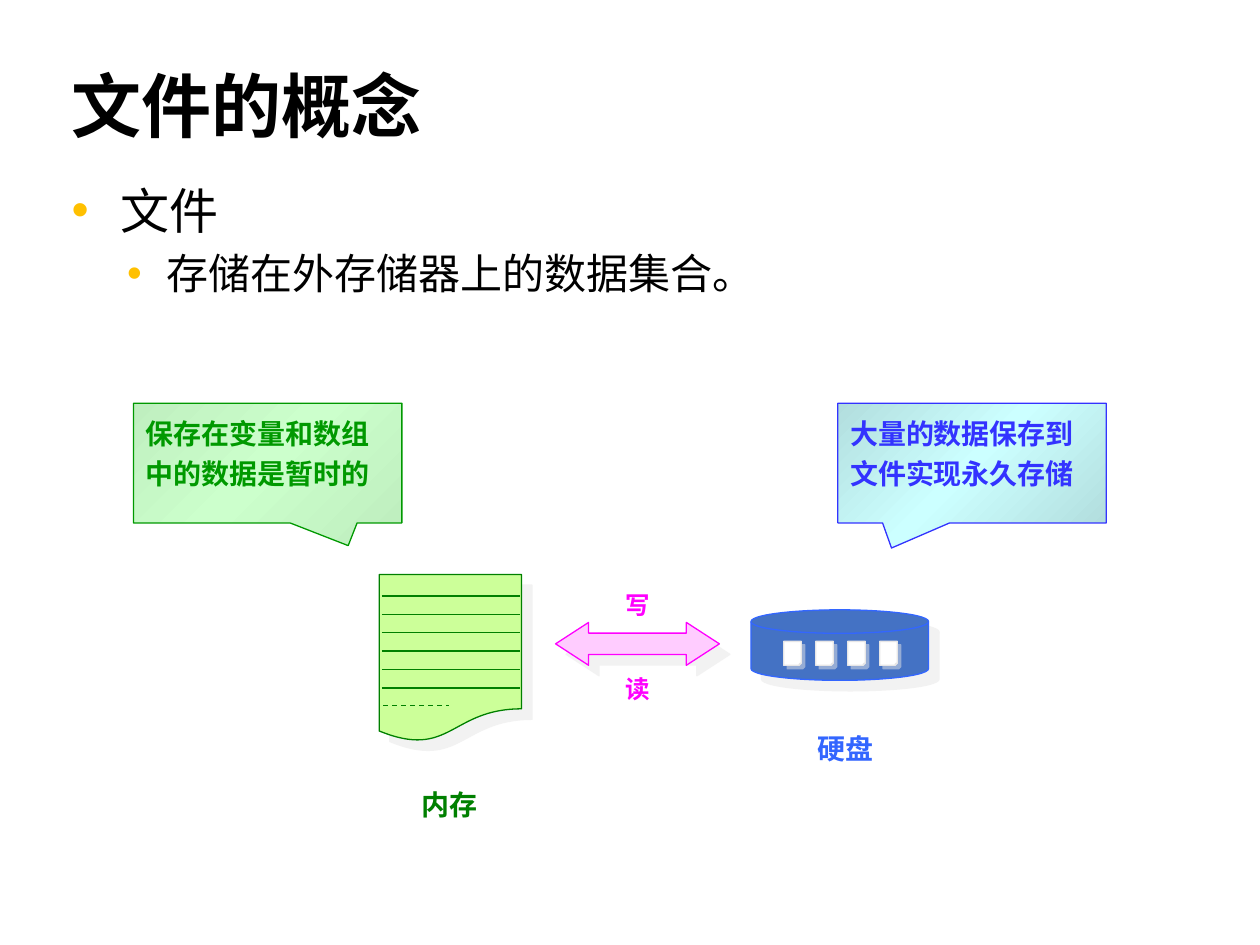
import copy

import pptx
import pptx.dml.color
import pptx.enum.dml
import pptx.enum.lang
import pptx.enum.shapes
import pptx.enum.text
import pptx.oxml
import pptx.oxml.ns
import pptx.util

Inches = pptx.util.Inches
Pt = pptx.util.Pt
RGBColor = pptx.dml.color.RGBColor
SHAPE = pptx.enum.shapes.MSO_SHAPE
ALIGN = pptx.enum.text.PP_ALIGN
ANCHOR = pptx.enum.text.MSO_ANCHOR
qn = pptx.oxml.ns.qn

BLACK = RGBColor(0x00, 0x00, 0x00)
WHITE = RGBColor(0xFF, 0xFF, 0xFF)
GRAY = RGBColor(0xE7, 0xE6, 0xE6)
GOLD = RGBColor(0xFF, 0xC0, 0x00)
GREEN = RGBColor(0x00, 0x80, 0x00)
LIME = RGBColor(0xCC, 0xFF, 0x99)
BLUE = RGBColor(0x33, 0x66, 0xFF)
DISK_BLUE = RGBColor(0x44, 0x72, 0xC4)
MAGENTA = RGBColor(0xFF, 0x00, 0xFF)
PINK = RGBColor(0xFF, 0xCC, 0xFF)
NOTE_GREEN = RGBColor(0x00, 0x99, 0x00)
GREEN_EDGE = RGBColor(0xBF, 0xEF, 0xBF)
GREEN_MID = RGBColor(0xCC, 0xFF, 0xCC)
NOTE_BLUE = RGBColor(0x33, 0x33, 0xFF)
CYAN_EDGE = RGBColor(0xB2, 0xDE, 0xDE)
CYAN_MID = RGBColor(0xCC, 0xFF, 0xFF)


def add_xml(parent, xml):
    ns = 'xmlns:a="http://schemas.openxmlformats.org/drawingml/2006/main"'
    parent.append(pptx.oxml.parse_xml(xml.replace(" ", f" {ns} ", 1)))


def add_run(p, text, size, color, font="Calibri", bold=False):
    r = p.add_run()
    r.text = text
    r.font.name = font
    r.font.size = Pt(size)
    r.font.bold = bold
    r.font.color.rgb = color
    r.font.language_id = pptx.enum.lang.MSO_LANGUAGE_ID.SIMPLIFIED_CHINESE
    if font.startswith("Noto"):
        add_xml(r.font._element, f'<a:ea typeface="{font}"/>')


def add_box(shapes, x, y, w, h):
    tf = shapes.add_textbox(Inches(x), Inches(y), Inches(w), Inches(h)).text_frame
    tf.word_wrap = True
    return tf


def add_label(shapes, x, y, text, size, color):
    p = add_box(shapes, x, y, 1.6, 0.37).paragraphs[0]
    p.alignment = ALIGN.CENTER
    add_run(p, text, size, color, bold=True)


def add_bullet(p, margin, hanging):
    pPr = p._p.get_or_add_pPr()
    pPr.set("marL", str(Inches(margin)))
    pPr.set("indent", str(-Inches(hanging)))
    add_xml(pPr, f'<a:buClr ><a:srgbClr val="{GOLD}"/></a:buClr>')
    add_xml(pPr, '<a:buFont typeface="Arial"/>')
    add_xml(pPr, '<a:buChar char="•"/>')


def add_figure(shapes, kind, x, y, w, h, line, fill=None, shadow=0, **adjustments):
    s = shapes.add_shape(kind, Inches(x), Inches(y), Inches(w), Inches(h))
    s.shadow.inherit = False
    if adjustments:
        guides = s._element.spPr.find(".//" + qn("a:avLst"))
        guides.clear()
        for name, value in adjustments.items():
            add_xml(guides, f'<a:gd name="{name}" fmla="val {round(value * 100000)}"/>')
    if fill is not None:
        s.fill.solid()
        s.fill.fore_color.rgb = fill
    s.line.color.rgb = line
    s.line.width = Pt(0.75)
    if shadow:
        add_xml(s._element.spPr.find(qn("a:effectLst")),
                f'<a:outerShdw dist="{Pt(shadow)}" dir="2700000" algn="ctr" rotWithShape="0">'
                f'<a:srgbClr val="{GRAY}"><a:alpha val="50000"/></a:srgbClr></a:outerShdw>')
    return s


def add_rule(shapes, x1, x2, y, dashed=False):
    c = shapes.add_connector(pptx.enum.shapes.MSO_CONNECTOR.STRAIGHT,
                             Inches(x1), Inches(y), Inches(x2), Inches(y))
    c.line.color.rgb = GREEN
    c.line.width = Pt(0.75)
    if dashed:
        c.line.dash_style = pptx.enum.dml.MSO_LINE.DASH
    add_xml(c._element.spPr, "<a:effectLst />")


def add_callout(shapes, x, text, color, edge, mid, tip_x, tip_y):
    s = add_figure(shapes, SHAPE.RECTANGULAR_CALLOUT, x, 3.2, 2.13, 0.95, color,
                   adj1=tip_x, adj2=tip_y)
    # Gradient running edge - middle - edge
    s.fill.gradient()
    s.fill.gradient_angle = 315
    first, last = s.fill.gradient_stops
    first.color.rgb, first.position = mid, 0.5
    last.color.rgb, last.position = edge, 1
    stops = s._element.spPr.find(".//" + qn("a:gsLst"))
    stops.insert(0, copy.deepcopy(stops[-1]))
    s.fill.gradient_stops[0].position = 0
    tf = s.text_frame
    tf.word_wrap = True
    tf.vertical_anchor = ANCHOR.TOP
    p = tf.paragraphs[0]
    p.alignment = ALIGN.LEFT
    p.line_spacing = 1.2
    add_run(p, text, 16, color, "Times New Roman", True)


def add_heading(shapes):
    tf = add_box(shapes, 0.47, 0.47, 9.06, 0.75)
    tf.vertical_anchor = ANCHOR.BOTTOM
    p = tf.paragraphs[0]
    p.line_spacing = 0.9
    add_run(p, "文件的概念", 40, BLACK, "Noto Sans CJK JP", True)


def add_body(shapes):
    tf = add_box(shapes, 0.47, 1.38, 9.06, 5.51)
    p = tf.paragraphs[0]
    add_bullet(p, 0.39, 0.39)
    add_run(p, "文件", 28, BLACK, "Noto Sans CJK SC")
    p = tf.add_paragraph()
    p.level = 1
    p.space_before = Pt(5)
    add_bullet(p, 0.75, 0.31)
    add_run(p, "存储在外存储器上的数据集合。", 24, BLACK)


def add_memory(shapes):
    group = shapes.add_group_shape().shapes
    add_figure(group, SHAPE.FLOWCHART_DOCUMENT, 3.01, 4.56, 1.13, 1.33, GREEN, LIME, 8.5)
    for i in range(6):
        add_rule(group, 3.03, 4.13, 4.73 + 0.146 * i)
    add_rule(group, 3.04, 3.56, 5.6, dashed=True)
    add_label(shapes, 2.77, 6.2, "内存", 16, GREEN)


def add_disk(shapes):
    group = shapes.add_group_shape().shapes
    add_figure(group, SHAPE.FLOWCHART_MAGNETIC_DISK, 5.96, 4.84, 1.41, 0.56,
               BLUE, DISK_BLUE, 8.5)
    for i in range(4):
        add_figure(group, SHAPE.FOLDED_CORNER, 6.22 + 0.254 * i, 5.09, 0.14, 0.19,
                   GRAY, WHITE, 2.8, adj=0.125)
    add_label(shapes, 5.91, 5.76, "硬盘", 16, BLUE)


def add_transfer(shapes):
    add_figure(shapes, SHAPE.LEFT_RIGHT_ARROW, 4.41, 4.94, 1.3, 0.34,
               MAGENTA, PINK, 8.5, adj1=0.5, adj2=0.77)
    for y, text in ((4.63, "写"), (5.3, "读")):
        add_label(shapes, 4.26, y, text, 14, MAGENTA)


def main():
    prs = pptx.Presentation()
    prs.slide_width, prs.slide_height = Inches(10), Inches(7.5)
    shapes = prs.slides.add_slide(prs.slide_layouts[6]).shapes

    # Heading and bullets
    add_heading(shapes)
    add_body(shapes)

    # Memory and disk with the transfer between them
    add_memory(shapes)
    add_disk(shapes)
    add_transfer(shapes)

    # Notes on both kinds of storage
    add_callout(shapes, 1.06, "保存在变量和数组中的数据是暂时的",
                NOTE_GREEN, GREEN_EDGE, GREEN_MID, 0.3, 0.69)
    add_callout(shapes, 6.65, "大量的数据保存到文件实现永久存储",
                NOTE_BLUE, CYAN_EDGE, CYAN_MID, -0.3, 0.71)

    prs.save("out.pptx")


if __name__ == "__main__":
    main()
